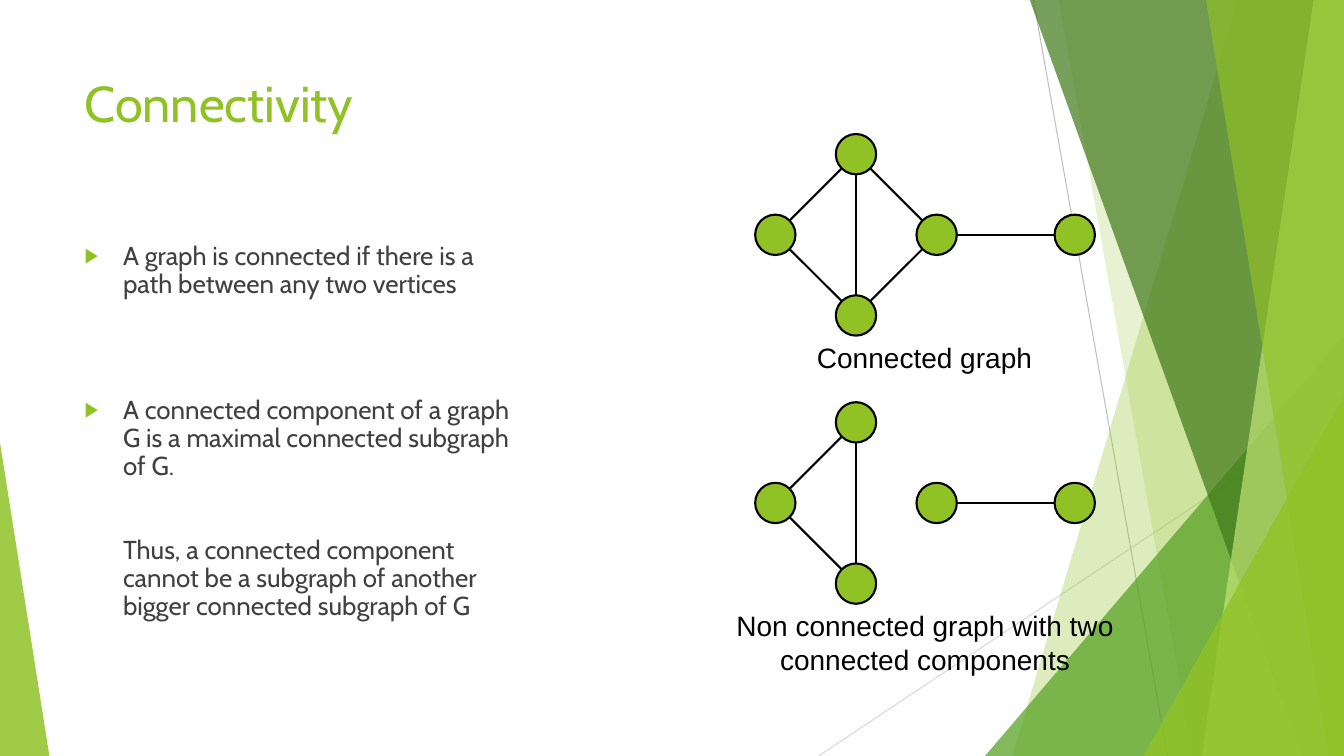
from math import hypot

from lxml.etree import SubElement
from pptx import Presentation
from pptx.dml.color import RGBColor
from pptx.enum.shapes import MSO_CONNECTOR, MSO_SHAPE
from pptx.enum.text import MSO_ANCHOR, MSO_AUTO_SIZE, PP_ALIGN
from pptx.oxml.ns import qn
from pptx.util import Inches, Pt

LIME = RGBColor(0x90, 0xC2, 0x26)
PALE_LIME = RGBColor(0xC0, 0xE4, 0x74)
GREEN = RGBColor(0x54, 0xA0, 0x21)
DARK_GREEN = RGBColor(0x3F, 0x78, 0x19)
TEXT_GREY = RGBColor(0x40, 0x40, 0x40)
LINE_GREY = RGBColor(0xBF, 0xBF, 0xBF)
LIGHT_GREY = RGBColor(0xD9, 0xD9, 0xD9)
BLACK = RGBColor(0, 0, 0)

SLIDE_W, SLIDE_H = 13.33, 7.5
BAND_TOP = -0.01
RADIUS = 0.2

# Vertex centres, relative to the top vertex of a graph
VERTICES = {
    "top": (0, 0),
    "left": (-0.8, 0.8),
    "bottom": (0, 1.6),
    "right": (0.8, 0.8),
    "far": (2.17, 0.8),
}
SHARED_EDGES = [("top", "left"), ("bottom", "left"), ("top", "bottom"), ("right", "far")]
JOINING_EDGES = [("top", "right"), ("bottom", "right")]


def set_fill(shape, color, opacity=100):
    shape.shadow.inherit = False
    shape.fill.solid()
    shape.fill.fore_color.rgb = color
    if opacity < 100:
        srgb = shape.fill._xPr.find(qn("a:solidFill"))[0]
        SubElement(srgb, qn("a:alpha"), val=str(opacity * 1000))


def add_line(slide, start, end, color, width):
    line = slide.shapes.add_connector(
        MSO_CONNECTOR.STRAIGHT, *(Inches(v) for v in (*start, *end)))
    line.line.color.rgb = color
    line.line.width = Pt(width)
    SubElement(line._element.spPr, qn("a:effectLst"))


def add_band(slide, top_x, bottom_x, color, opacity):
    """Band from a slanted left edge to the right edge of the slide."""
    builder = slide.shapes.build_freeform(
        Inches(top_x), Inches(BAND_TOP), scale=1.0)
    corners = [(SLIDE_W, BAND_TOP), (SLIDE_W, SLIDE_H), (bottom_x, SLIDE_H)]
    builder.add_line_segments([(Inches(x), Inches(y)) for x, y in corners], close=True)
    band = builder.convert_to_shape()
    set_fill(band, color, opacity)
    band.line.fill.background()


def add_corner(slide, left, top, width, apex, color, opacity):
    """Triangle standing on the bottom edge of the slide."""
    corner = slide.shapes.add_shape(
        MSO_SHAPE.ISOSCELES_TRIANGLE, Inches(left), Inches(top),
        Inches(width), Inches(SLIDE_H - top))
    corner.adjustments[0] = apex
    set_fill(corner, color, opacity)
    corner.line.fill.background()


def add_decoration(slide):
    add_line(slide, (10.25, 0), (11.58, SLIDE_H), LINE_GREY, 0.75)
    add_line(slide, (SLIDE_W, 4.03), (8.12, SLIDE_H), LIGHT_GREY, 0.75)
    add_band(slide, 12.28, 10.04, LIME, 30)
    add_band(slide, 10.5, 11.83, LIME, 20)
    add_corner(slide, 9.77, 3.33, 3.56, 1, GREEN, 72)
    add_band(slide, 10.21, 12.91, DARK_GREEN, 70)
    add_band(slide, 13.03, 11.92, PALE_LIME, 70)
    add_band(slide, 11.96, 13.18, LIME, 65)
    add_corner(slide, 11.34, 3.93, 1.99, 1, LIME, 80)
    add_corner(slide, 0, 4.39, 0.49, 0, LIME, 85)


def place(shape, left, top, width, height):
    shape.left, shape.top = Inches(left), Inches(top)
    shape.width, shape.height = Inches(width), Inches(height)
    frame = shape.text_frame
    frame.word_wrap = True
    frame.auto_size = MSO_AUTO_SIZE.NONE
    frame.vertical_anchor = MSO_ANCHOR.TOP
    return frame


def add_text(paragraph, text, font, size, color):
    run = paragraph.add_run()
    run.text = text
    run.font.name = font
    run.font.size = Pt(size)
    run.font.color.rgb = color


def set_bullet(paragraph, bulleted):
    props = paragraph._p.get_or_add_pPr()
    props.set("marL", str(Inches(0.38)))
    props.set("indent", str(Inches(-0.38) if bulleted else 0))
    if not bulleted:
        SubElement(props, qn("a:buNone"))
        return
    SubElement(SubElement(props, qn("a:buClr")), qn("a:srgbClr"), val=str(LIME))
    SubElement(props, qn("a:buSzPct"), val="80000")
    SubElement(props, qn("a:buFont"), typeface="Arial")
    SubElement(props, qn("a:buChar"), char="▶")


def fill_title(slide):
    paragraph = place(slide.shapes.title, 0.74, 0.67, 9.4, 1.44).paragraphs[0]
    paragraph.alignment = PP_ALIGN.LEFT
    add_text(paragraph, "Connectivity", "Cabin", 36, LIME)


def fill_body(slide):
    frame = place(slide.placeholders[1], 0.74, 2.36, 4.58, 4.24)
    statements = [
        ("A graph is connected if there is a path between any two vertices", True, 0),
        ("A connected component of a graph G is a maximal connected subgraph of G.", True, 70),
        ("Thus, a connected component cannot be a subgraph of another "
         "bigger connected subgraph of G", False, 40),
    ]
    for i, (text, bulleted, gap) in enumerate(statements):
        paragraph = frame.add_paragraph() if i else frame.paragraphs[0]
        set_bullet(paragraph, bulleted)
        paragraph.line_spacing = 0.9
        paragraph.space_before = Pt(gap)
        add_text(paragraph, text, "Cabin", 18.5, TEXT_GREY)


def add_edge(slide, start, end):
    """Line between two vertex centres, cut off at the circles."""
    (x1, y1), (x2, y2) = start, end
    length = hypot(x2 - x1, y2 - y1)
    dx, dy = (x2 - x1) * RADIUS / length, (y2 - y1) * RADIUS / length
    add_line(slide, (x1 + dx, y1 + dy), (x2 - dx, y2 - dy), BLACK, 1.5)


def add_graph(slide, top_x, top_y, edges):
    centres = {name: (top_x + x, top_y + y) for name, (x, y) in VERTICES.items()}
    for x, y in centres.values():
        vertex = slide.shapes.add_shape(
            MSO_SHAPE.OVAL, Inches(x - RADIUS), Inches(y - RADIUS),
            Inches(2 * RADIUS), Inches(2 * RADIUS))
        set_fill(vertex, LIME)
        vertex.line.color.rgb = BLACK
        vertex.line.width = Pt(1.5)
    for start, end in edges:
        add_edge(slide, centres[start], centres[end])


def add_caption(slide, text, left, top, width, height):
    bounds = (left, top, width, height)
    box = slide.shapes.add_textbox(*(Inches(v) for v in bounds))
    paragraph = place(box, *bounds).paragraphs[0]
    paragraph.alignment = PP_ALIGN.CENTER
    add_text(paragraph, text, "Arial", 20, BLACK)


def main():
    prs = Presentation()
    prs.slide_width, prs.slide_height = Inches(SLIDE_W), Inches(SLIDE_H)
    slide = prs.slides.add_slide(prs.slide_layouts[1])
    add_decoration(slide)
    fill_title(slide)
    fill_body(slide)
    add_graph(slide, 8.49, 1.53, SHARED_EDGES + JOINING_EDGES)
    add_caption(slide, "Connected graph", 7.61, 3.33, 3.12, 0.43)
    add_graph(slide, 8.49, 4.19, SHARED_EDGES)
    add_caption(slide, "Non connected graph with two connected components",
                7.18, 5.99, 3.99, 0.77)
    prs.save("out.pptx")


if __name__ == "__main__":
    main()
